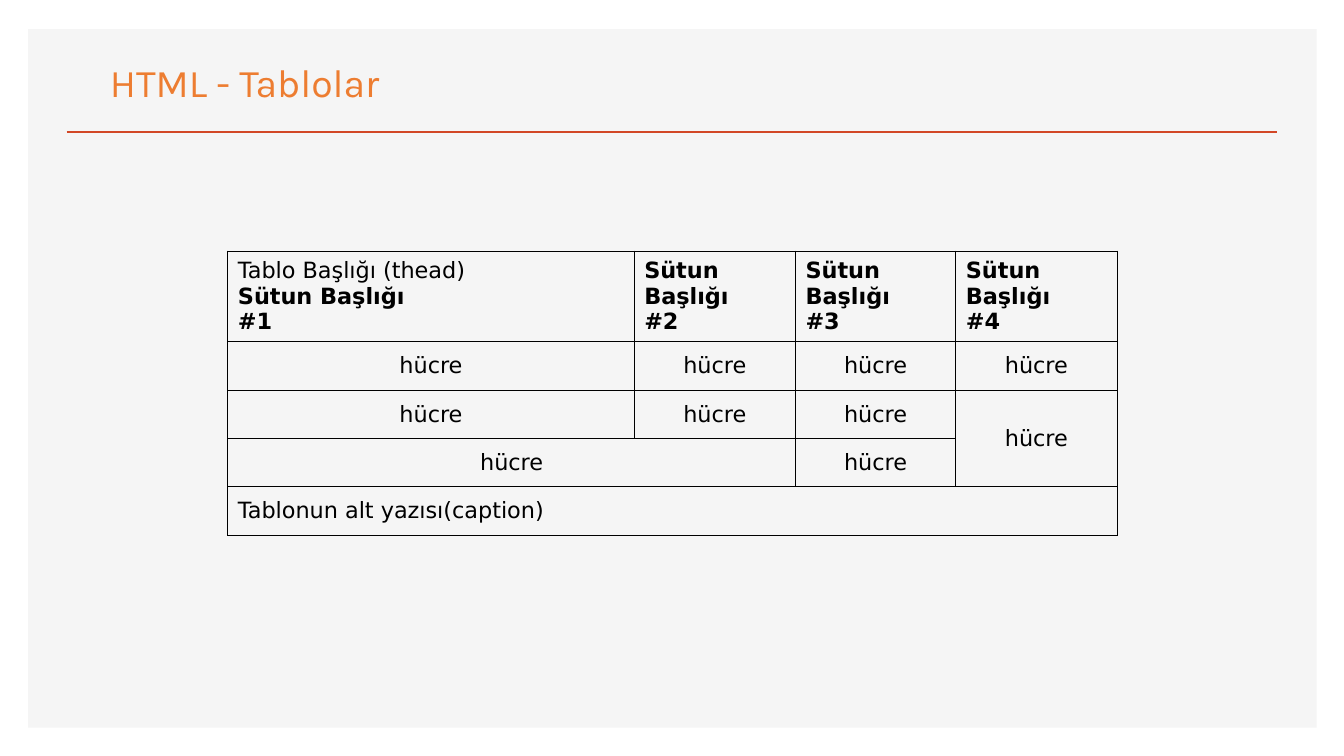
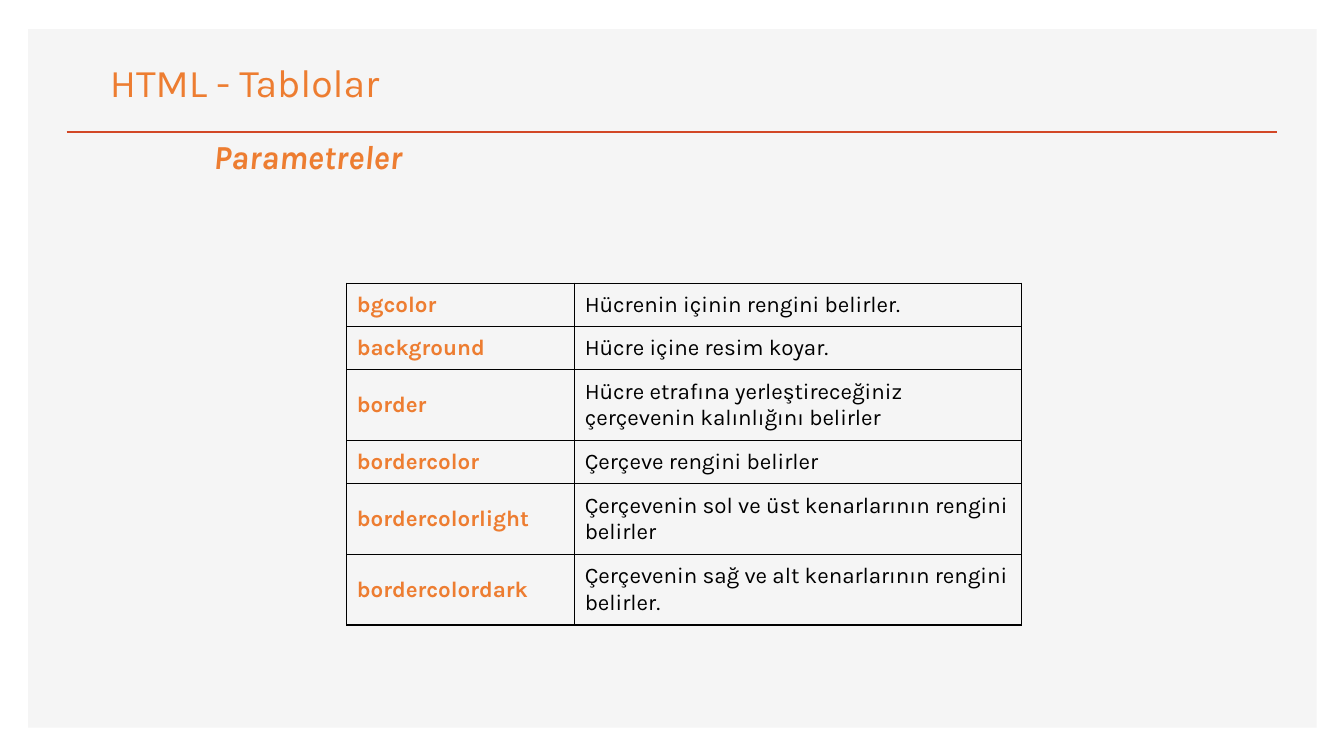
"""Builds two slides about HTML tables: cell layout and table parameters."""
from copy import deepcopy
from dataclasses import dataclass

from lxml.etree import SubElement
from pptx import Presentation
from pptx.dml.color import RGBColor
from pptx.enum.shapes import MSO_CONNECTOR, MSO_SHAPE
from pptx.enum.text import MSO_ANCHOR, MSO_AUTO_SIZE, PP_ALIGN
from pptx.oxml import parse_xml
from pptx.oxml.ns import nsdecls, qn
from pptx.util import Pt

EMU_PER_PX = 9144
TITLE_ONLY_LAYOUT = 5


@dataclass(frozen=True)
class Theme:
    panel: str = "F5F5F5"
    rule: str = "D24726"
    accent: str = "ED7D31"
    ink: str = "000000"
    font: str = "Karla"
    grid_font: str = "DejaVu Sans"
    title_size: int = 28
    subtitle_size: int = 24
    cell_size: int = 16
    rule_width: int = 2


THEME = Theme()


def px(value):
    return value * EMU_PER_PX


def write_text(text_frame, text, *, size=THEME.cell_size, color=THEME.ink, font=THEME.font,
               bold=False, italic=False, align=PP_ALIGN.LEFT):
    paragraph = text_frame.add_paragraph() if text_frame.text else text_frame.paragraphs[0]
    paragraph.text = text
    paragraph.alignment = align
    for run in paragraph.runs:
        run.font.size = Pt(size)
        run.font.name = font
        run.font.bold = bold
        run.font.italic = italic
        run.font.color.rgb = RGBColor.from_string(color)
    for line_break in paragraph._p.findall(qn("a:br")):
        line_break.insert(0, deepcopy(paragraph.runs[0]._r.rPr))


class Deck:
    def __init__(self, theme):
        self.theme = theme
        self.presentation = Presentation()
        self.presentation.slide_width = px(1333)
        self.presentation.slide_height = px(750)
        self.layout = self.presentation.slide_layouts[TITLE_ONLY_LAYOUT]
        self.slide = None

    def add_slide(self, title):
        self.slide = self.presentation.slides.add_slide(self.layout)
        if len(self.presentation.slides) == 1:
            self.move_to_layout(self.add_panel(28, 29, 1278, 693), self.add_rule(66, 131, 1267))
        shape = self.slide.shapes.title
        shape.left, shape.top, shape.width, shape.height = map(px, (99, 53, 295, 57))
        self.fill_label(shape, title, size=self.theme.title_size)

    def move_to_layout(self, *shapes):
        tree = self.layout.shapes._spTree
        for position, shape in enumerate(shapes, start=2):
            element = shape._element
            element.xpath(".//p:cNvPr")[0].set("id", str(100 + position))
            tree.insert(position, element)

    def add_panel(self, left, top, width, height):
        panel = self.slide.shapes.add_shape(
            MSO_SHAPE.RECTANGLE, px(left), px(top), px(width), px(height))
        panel.shadow.inherit = False
        panel.fill.solid()
        panel.fill.fore_color.rgb = RGBColor.from_string(self.theme.panel)
        panel.line.fill.background()
        return panel

    def add_rule(self, left, top, right):
        rule = self.slide.shapes.add_connector(
            MSO_CONNECTOR.STRAIGHT, px(left), px(top), px(right), px(top))
        rule.line.width = Pt(self.theme.rule_width)
        rule.line.color.rgb = RGBColor.from_string(self.theme.rule)
        SubElement(rule._element.spPr, qn("a:effectLst"))
        return rule

    def fill_label(self, shape, text, **text_format):
        text_frame = shape.text_frame
        text_frame.word_wrap = False
        text_frame.auto_size = MSO_AUTO_SIZE.SHAPE_TO_FIT_TEXT
        text_frame.vertical_anchor = MSO_ANCHOR.TOP
        write_text(text_frame, text, color=self.theme.accent, **text_format)

    def add_subtitle(self, text, left, top, width, height):
        shape = self.slide.shapes.add_textbox(px(left), px(top), px(width), px(height))
        self.fill_label(shape, text, size=self.theme.subtitle_size, bold=True, italic=True)

    def add_table(self, left, top, widths, heights, border):
        table = self.slide.shapes.add_table(
            len(heights), len(widths), px(left), px(top), px(sum(widths)), px(sum(heights))).table
        table.first_row = table.horz_banding = False
        for column, width in zip(table.columns, widths):
            column.width = px(width)
        for row, height in zip(table.rows, heights):
            row.height = px(height)
        for cell in table.iter_cells():
            cell.vertical_anchor = MSO_ANCHOR.MIDDLE
            cell.fill.background()
            self.add_borders(cell, border)
        return table

    def add_borders(self, cell, width):
        properties = cell._tc.get_or_add_tcPr()
        for position, side in enumerate(("lnL", "lnR", "lnT", "lnB")):
            properties.insert(position, parse_xml(
                f'<a:{side} {nsdecls("a")} w="{Pt(width)}"><a:solidFill>'
                f'<a:srgbClr val="{self.theme.ink}"/></a:solidFill></a:{side}>'))


def build_layout_slide(deck):
    deck.add_slide("HTML - Tablolar")
    table = deck.add_table(226, 249, (403, 160, 159, 160), (90, 48, 48, 48, 48), border=0.75)
    for first, last in (((2, 3), (3, 3)), ((3, 0), (3, 1)), ((4, 0), (4, 3))):
        table.cell(*first).merge(table.cell(*last))
    font = deck.theme.grid_font
    write_text(table.cell(0, 0).text_frame, "Tablo Başlığı (thead)", font=font)
    for column in range(4):
        write_text(table.cell(0, column).text_frame, f"Sütun Başlığı\v#{column + 1}",
                   font=font, bold=True)
        for row in range(1, 4):
            cell = table.cell(row, column)
            if not cell.is_spanned:
                write_text(cell.text_frame, "hücre", font=font, align=PP_ALIGN.CENTER)
    write_text(table.cell(4, 0).text_frame, "Tablonun alt yazısı(caption)", font=font)


def build_parameter_slide(deck):
    parameters = (
        ("bgcolor", "Hücrenin içinin rengini belirler.", 43),
        ("background", "Hücre içine resim koyar.", 43),
        ("border", "Hücre etrafına yerleştireceğiniz çerçevenin kalınlığını belirler", 70),
        ("bordercolor", "Çerçeve rengini belirler", 43),
        ("bordercolorlight", "Çerçevenin sol ve üst kenarlarının rengini belirler", 70),
        ("bordercolordark", "Çerçevenin sağ ve alt kenarlarının rengini belirler.", 70),
    )
    deck.add_slide("HTML - Tablolar")
    deck.add_subtitle("Parametreler", 202, 130, 240, 50)
    heights = [height for _, _, height in parameters]
    table = deck.add_table(344, 281, (226, 443), heights, border=1)
    for row, (name, description, _) in enumerate(parameters):
        write_text(table.cell(row, 0).text_frame, name, color=deck.theme.accent, bold=True)
        write_text(table.cell(row, 1).text_frame, description)


def main():
    deck = Deck(THEME)
    build_layout_slide(deck)
    build_parameter_slide(deck)
    deck.presentation.save("out.pptx")


if __name__ == "__main__":
    main()
